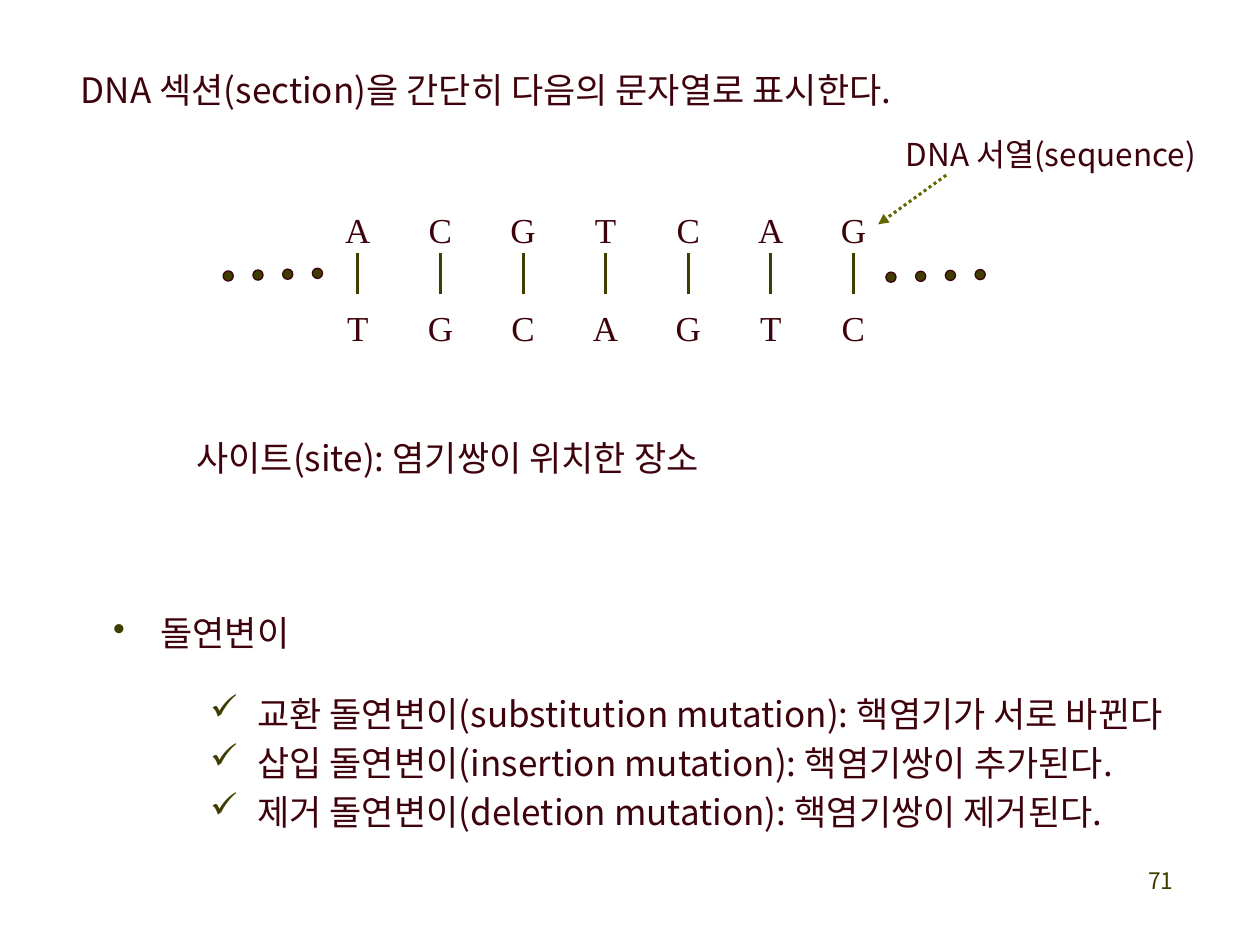
import dataclasses

import pptx
import pptx.dml.color
import pptx.enum.dml
import pptx.enum.shapes
import pptx.enum.text
import pptx.oxml
import pptx.oxml.ns
import pptx.util

Pt = pptx.util.Pt
ALIGN = pptx.enum.text.PP_ALIGN


def rgb(value):
    return pptx.dml.color.RGBColor.from_string(value)


def set_values(target, values):
    for name, value in values.items():
        setattr(target, name, value)


def add_xml(parent, tag, **attributes):
    el = pptx.oxml.parse_xml(f"<a:{tag} {pptx.oxml.ns.nsdecls('a')}/>")
    for name, value in attributes.items():
        el.set(name, value)
    parent.append(el)
    return el


@dataclasses.dataclass(frozen=True)
class Theme:
    text: str = "3E020C"
    accent: str = "3F3E00"
    arrow: str = "666600"
    body_font: str = "Noto Sans CJK KR"
    base_font: str = "Times New Roman"
    body_size: int = 20
    label_size: int = 18
    number_size: int = 13
    leading: int = 28
    indent: int = 27
    line_width: float = 1.75
    dot_line: float = 0.75


class SlideBuilder:
    def __init__(self, slide, theme):
        self.s = slide
        self.theme = theme

    def fill_text(self, sp, lines, size=None, font=None, color=None,
                  align=ALIGN.LEFT, bullet=None, leading=True):
        t = self.theme
        tf = sp.text_frame
        frame_format = {
            "word_wrap": True,
            "auto_size": pptx.enum.text.MSO_AUTO_SIZE.NONE,
            "vertical_anchor": pptx.enum.text.MSO_ANCHOR.TOP,
            "margin_left": Pt(7.2), "margin_right": Pt(7.2),
            "margin_top": Pt(3.6), "margin_bottom": Pt(3.6),
        }
        set_values(tf, frame_format)
        font_format = {"size": Pt(size or t.body_size),
                       "name": font or t.body_font, "bold": False}
        for i, line in enumerate(lines):
            p = tf.add_paragraph() if i else tf.paragraphs[0]
            p.alignment = align
            if leading:
                p.line_spacing = Pt(t.leading)
            if bullet:
                self.add_bullet(p, bullet)
            r = p.add_run()
            r.text = line
            set_values(r.font, font_format)
            r.font.color.rgb = rgb(color or t.text)
            add_xml(r._r.get_or_add_rPr(), "ea", typeface=font_format["name"])

    def add_bullet(self, p, char):
        pPr = p._p.get_or_add_pPr()
        indent = Pt(self.theme.indent)
        pPr.set("marL", str(indent))
        pPr.set("indent", str(-indent))
        add_xml(add_xml(pPr, "buClr"), "srgbClr", val=self.theme.accent)
        add_xml(pPr, "buChar", char=char)

    def title(self, line, x, y, w, h):
        sp = self.s.shapes.title
        set_values(sp, {"left": Pt(x), "top": Pt(y),
                        "width": Pt(w), "height": Pt(h)})
        self.fill_text(sp, [line])

    def text(self, lines, x, y, w, h, **style):
        sp = self.s.shapes.add_textbox(Pt(x), Pt(y), Pt(w), Pt(h))
        self.fill_text(sp, lines, **style)

    def line(self, x1, y1, x2, y2, color=None, dotted_arrow=False):
        cxn = self.s.shapes.add_connector(
            pptx.enum.shapes.MSO_CONNECTOR.STRAIGHT,
            Pt(x1), Pt(y1), Pt(x2), Pt(y2))
        cxn.line.color.rgb = rgb(color or self.theme.accent)
        cxn.line.width = Pt(self.theme.line_width)
        if dotted_arrow:
            cxn.line.dash_style = pptx.enum.dml.MSO_LINE.ROUND_DOT
            add_xml(cxn.line._get_or_add_ln(), "tailEnd", type="triangle")
        add_xml(cxn._element.spPr, "effectLst")

    def ellipsis(self, x, y, count=4, pitch=17, rise=0.5, size=5.8):
        """Draw a row of dots that climbs slightly to the right."""
        for i in range(count):
            sp = self.s.shapes.add_shape(
                pptx.enum.shapes.MSO_SHAPE.OVAL,
                Pt(x + i * pitch), Pt(y - i * rise), Pt(size), Pt(size))
            sp.shadow.inherit = False
            sp.fill.solid()
            sp.fill.fore_color.rgb = rgb(self.theme.accent)
            sp.line.color.rgb = rgb(self.theme.text)
            sp.line.width = Pt(self.theme.dot_line)

    def base_pairs(self, upper, lower, x, pitch):
        """Draw both strands, centring the first pair on x."""
        w, h = 30, 33
        style = {"font": self.theme.base_font, "align": ALIGN.CENTER}
        for i, pair in enumerate(zip(upper, lower)):
            cx = x + i * pitch
            for base, y in zip(pair, (111.6, 167.8)):
                self.text([base], cx - w / 2, y, w, h, **style)
            self.line(cx, 144.7, cx, 167.8)


def main():
    prs = pptx.Presentation()
    prs.slide_width, prs.slide_height = Pt(720), Pt(540)
    theme = Theme()
    title_only = prs.slide_layouts[5]
    b = SlideBuilder(prs.slides.add_slide(title_only), theme)

    b.title("DNA 섹션(section)을 간단히 다음의 문자열로 표시한다.",
            38.9, 31.7, 517.7, 35.3)

    b.base_pairs("ACGTCAG", "TGCAGTC", x=204.5, pitch=47.2)
    b.ellipsis(127.5, 154.8)
    b.ellipsis(506.2, 155.5)
    b.line(540.7, 100.1, 501.8, 128.2, color=theme.arrow, dotted_arrow=True)
    b.text(["DNA 서열(sequence)"], 510.5, 67, 184.3, 35.3,
           size=theme.label_size)

    b.text(["사이트(site): 염기쌍이 위치한 장소"], 105.1, 241.9, 335.5, 35.3)
    b.text(["돌연변이"], 57.6, 342, 122.4, 35.3, bullet="•")
    b.text(["교환 돌연변이(substitution mutation): 핵염기가 서로 바뀐다",
            "삽입 돌연변이(insertion mutation): 핵염기쌍이 추가된다.",
            "제거 돌연변이(deletion mutation): 핵염기쌍이 제거된다."],
           113, 388.1, 586.8, 92.2, bullet="✓")
    b.text(["71"], 527.8, 491.8, 149.8, 36, size=theme.number_size,
           color=theme.accent, align=ALIGN.RIGHT, leading=False)

    prs.save("out.pptx")


if __name__ == "__main__":
    main()
